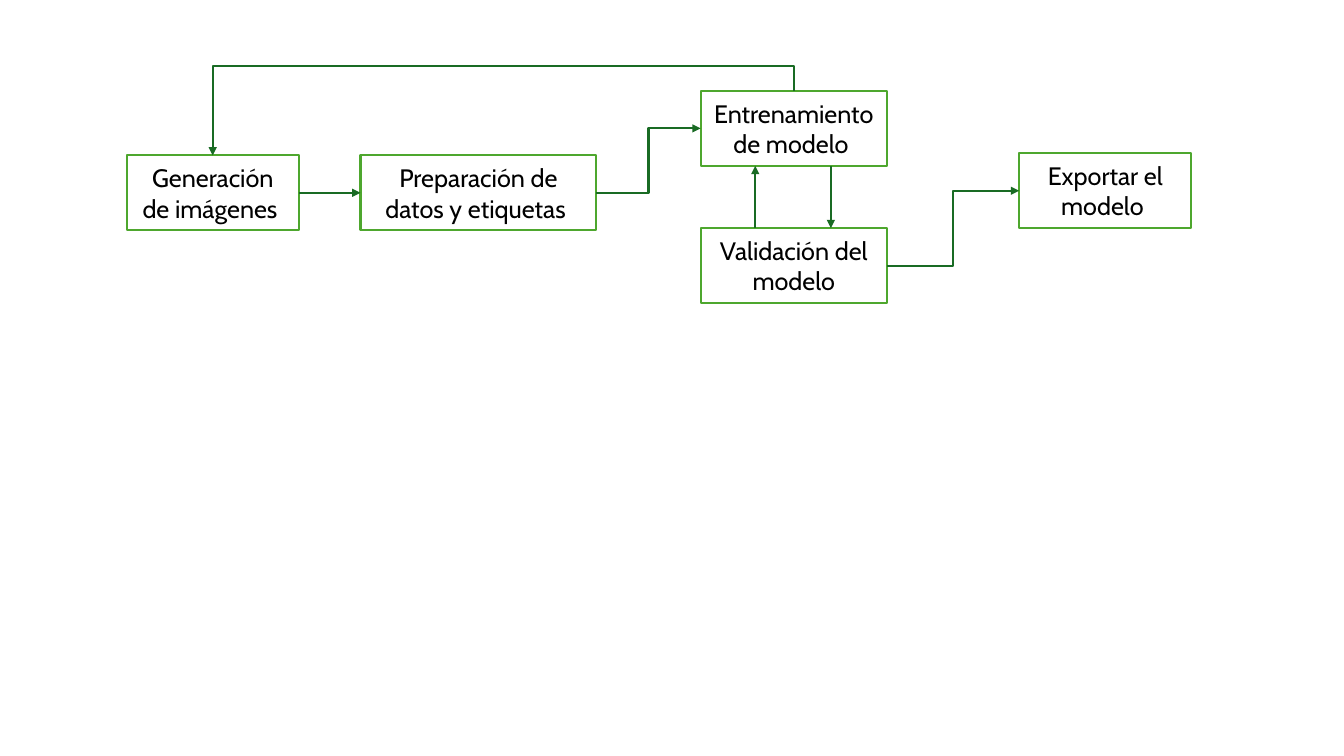
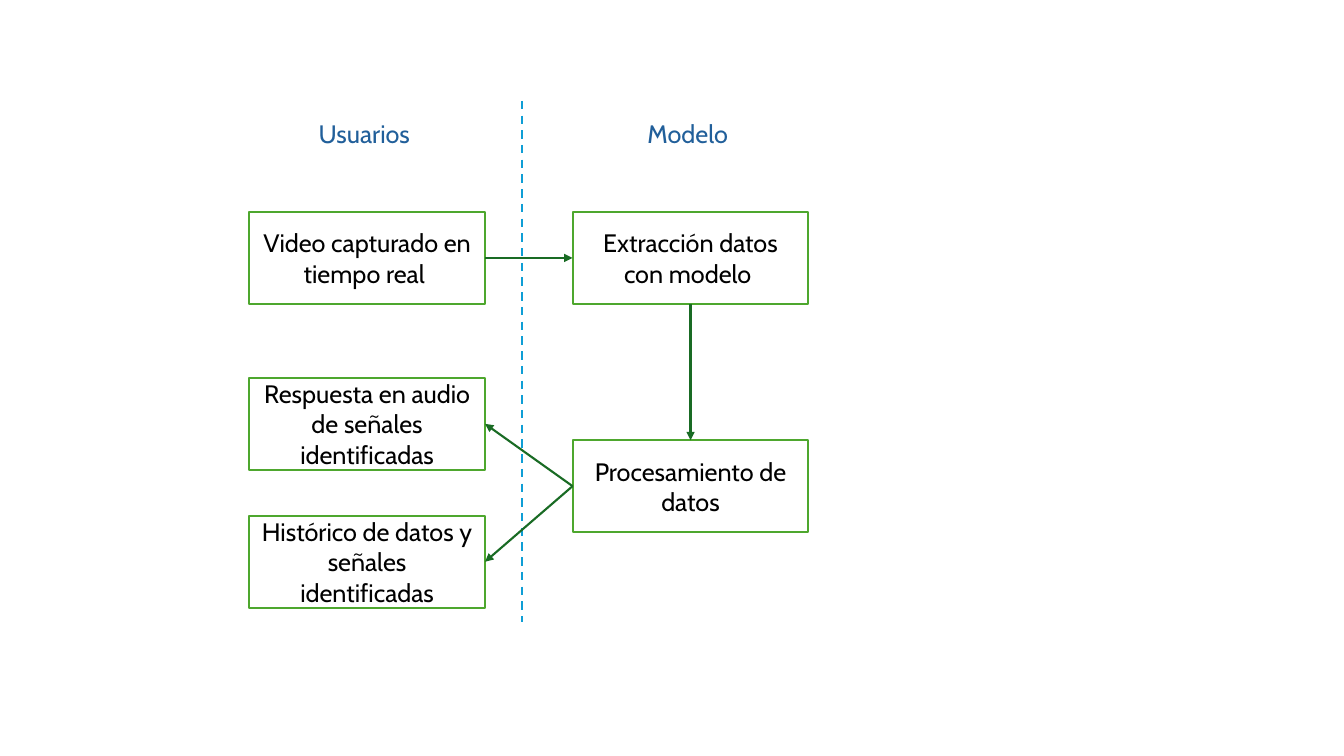
from pptx import Presentation
from pptx.dml.color import RGBColor
from pptx.enum.dml import MSO_LINE
from pptx.enum.shapes import MSO_CONNECTOR, MSO_SHAPE
from pptx.enum.text import MSO_ANCHOR, PP_ALIGN
from pptx.oxml.ns import qn
from pptx.util import Pt
from lxml.etree import SubElement

HUES = {
    "white": "FFFFFF",
    "ink": "000000",
    "head": "215F9A",
    "edge": "4EA72E",
    "arrow": "196B24",
    "split": "0F9ED5",
}
TOP, LEFT, BASE, RIGHT = range(4)


class Deck:
    font = "Cabin"
    size = Pt(18)
    width = Pt(1.5)

    def __init__(self):
        self.prs = Presentation()
        self.prs.slide_width = Pt(960)
        self.prs.slide_height = Pt(540)

    def hue(self, name):
        return RGBColor.from_string(HUES[name])

    def page(self):
        self.slide = self.prs.slides.add_slide(self.prs.slide_layouts[6])

    def box(self, text, x, y, w, h, edge="edge", ink="ink"):
        box = self.slide.shapes.add_shape(
            MSO_SHAPE.RECTANGLE, Pt(x), Pt(y), Pt(w), Pt(h))
        box.shadow.inherit = False
        box.fill.solid()
        box.fill.fore_color.rgb = self.hue("white")
        box.line.color.rgb = self.hue(edge)
        box.line.width = self.width
        frame = box.text_frame
        frame.text = text
        frame.word_wrap = True
        frame.vertical_anchor = MSO_ANCHOR.MIDDLE
        para = frame.paragraphs[0]
        para.alignment = PP_ALIGN.CENTER
        font = para.runs[0].font
        font.name = self.font
        font.size = self.size
        font.color.rgb = self.hue(ink)
        return box

    def line(self, x1, y1, x2, y2, hue="arrow", kind=MSO_CONNECTOR.STRAIGHT,
             tip=True, dash=None):
        link = self.slide.shapes.add_connector(
            kind, Pt(x1), Pt(y1), Pt(x2), Pt(y2))
        link.line.color.rgb = self.hue(hue)
        link.line.width = self.width
        if dash:
            link.line.dash_style = dash
        props = link.element.spPr
        if tip:
            SubElement(props.find(qn("a:ln")), qn("a:tailEnd"), type="triangle")
        SubElement(props, qn("a:effectLst"))
        return link

    def join(self, start, out, end, into, kind=MSO_CONNECTOR.STRAIGHT):
        link = self.line(0, 0, 0, 0, kind=kind)
        link.begin_connect(start, out)
        link.end_connect(end, into)
        return link

    def bend(self, start, out, end, into):
        return self.join(start, out, end, into, MSO_CONNECTOR.ELBOW)

    def loop(self, start, end, rise):
        link = self.bend(start, TOP, end, TOP)
        span = link.begin_x - link.end_x
        drop = link.end_y - link.begin_y
        mid_x = (link.begin_x + link.end_x) // 2
        mid_y = (link.begin_y + link.end_y) // 2
        link.left, link.top = mid_x - drop // 2, mid_y - span // 2
        link.width, link.height = drop, span
        props = link.element.spPr
        frame = props.find(qn("a:xfrm"))
        for key, value in (("rot", "16200000"), ("flipH", "1"), ("flipV", "1")):
            frame.set(key, value)
        shape = props.find(qn("a:prstGeom"))
        guides = shape.find(qn("a:avLst"))
        if guides is None:
            guides = SubElement(shape, qn("a:avLst"))
        ratio = round(-100000 * Pt(rise) / drop)
        SubElement(guides, qn("a:gd"), name="adj1", fmla=f"val {ratio}")


def train(deck):
    deck.page()
    high = 53.5
    make = deck.box("Generación de imágenes ", 90.5, 111, 123, high)
    prep = deck.box("Preparación de datos y etiquetas ", 257.5, 111, 168.5, high)
    fit = deck.box("Entrenamiento de modelo ", 500.5, 65, 133, high)
    test = deck.box("Validación del modelo", 500.5, 163, 133, high)
    ship = deck.box("Exportar el modelo ", 728, 109.5, 123, high)
    deck.join(make, RIGHT, prep, LEFT)
    deck.bend(test, RIGHT, ship, LEFT)
    deck.bend(prep, RIGHT, fit, LEFT)
    deck.line(593.5, 118.5, 593.5, 163)
    deck.line(539.5, 163, 539.5, 118.5)
    deck.loop(fit, make, 18)


def run(deck):
    deck.page()
    user, model = 178, 409
    size = 168.5, 65.5
    for text, x in (("Usuarios ", user), ("Modelo ", model)):
        deck.box(text, x, 62.5, *size, edge="white", ink="head")
    video = deck.box("Video capturado en tiempo real ", user, 151.5, *size)
    data = deck.box("Extracción datos con modelo ", model, 151.5, *size)
    work = deck.box("Procesamiento de datos", model, 314.5, *size)
    sound = deck.box("Respuesta en audio de señales identificadas", user, 270, *size)
    past = deck.box("Histórico de datos y señales identificadas", user, 368.5, *size)
    deck.line(373, 72, 373, 444.5, "split", tip=False, dash=MSO_LINE.DASH)
    deck.join(video, RIGHT, data, LEFT)
    deck.join(data, BASE, work, TOP)
    for goal in (sound, past):
        deck.join(work, LEFT, goal, RIGHT)


def main():
    deck = Deck()
    train(deck)
    run(deck)
    deck.prs.save("out.pptx")


if __name__ == "__main__":
    main()
